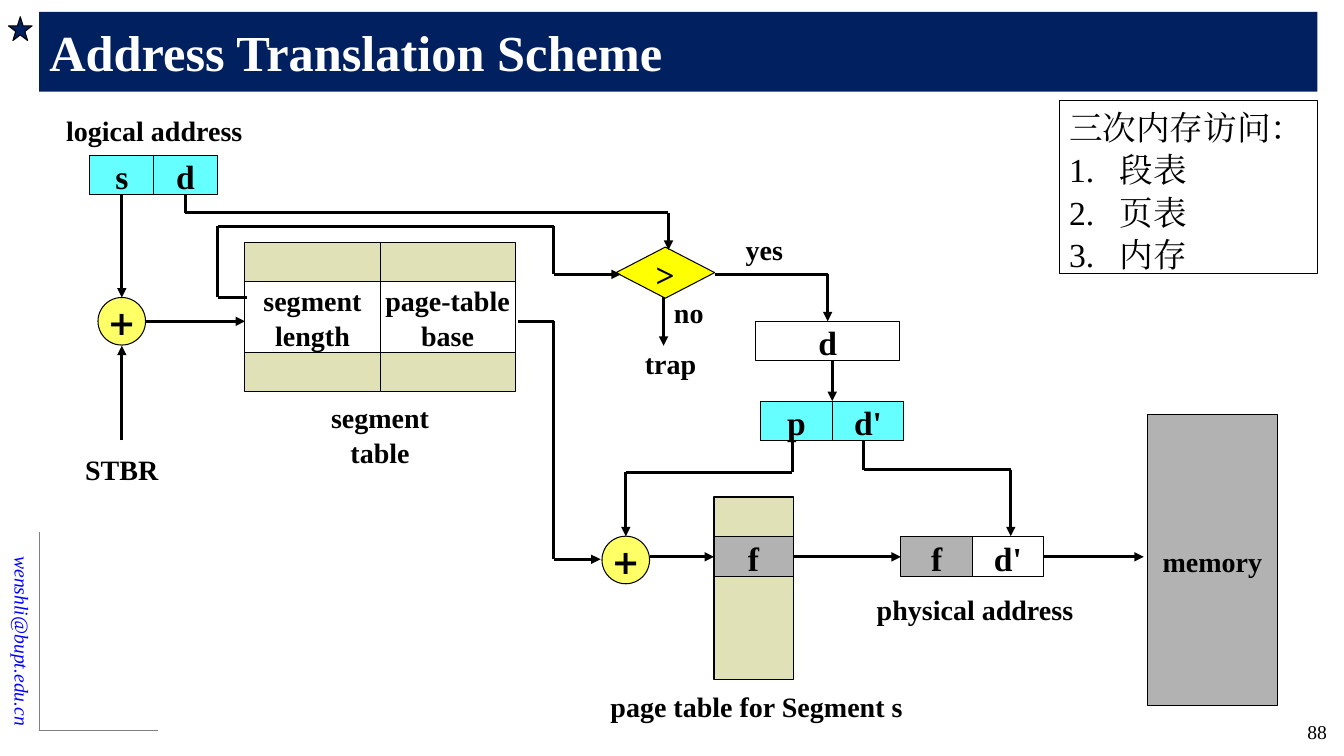
from lxml.etree import SubElement
from pptx import Presentation
from pptx.dml.color import RGBColor
from pptx.enum.shapes import MSO_CONNECTOR, MSO_SHAPE
from pptx.enum.text import MSO_ANCHOR, PP_ALIGN
from pptx.oxml.ns import qn
from pptx.util import Pt

COLORS = {
    "navy": "002060", "cyan": "66FFFF", "yellow": "FFFF00", "lemon": "FFFF66",
    "sand": "E1E1B7", "gray": "B2B2B2", "rule": "808080", "blue": "0000FF",
    "white": "FFFFFF", "black": "000000",
}


class Diagram:
    serif = "Times New Roman"
    sans = "DejaVu Sans"

    def __init__(self, slide):
        self.slide = slide

    def color(self, name):
        return RGBColor.from_string(COLORS[name])

    def set_text(self, shape, text, size, color="black", bold=True, italic=False,
                 align=PP_ALIGN.CENTER, anchor=MSO_ANCHOR.MIDDLE, font=None,
                 wrap=False, spacing=1.05, numbered=False):
        frame = shape.text_frame
        frame.text = text
        frame.word_wrap = wrap
        frame.vertical_anchor = anchor
        for index, paragraph in enumerate(frame.paragraphs):
            paragraph.alignment = align
            paragraph.line_spacing = spacing
            properties = paragraph._p.get_or_add_pPr()
            if numbered and index:
                properties.set("marL", str(Pt(36)))
                properties.set("indent", str(-Pt(36)))
                SubElement(properties, qn("a:buFont"), typeface="+mj-lt")
                SubElement(properties, qn("a:buAutoNum"), type="arabicPeriod")
            paragraph.font.name = font or self.serif
            paragraph.font.size = Pt(size)
            paragraph.font.bold = bold
            paragraph.font.italic = italic
            paragraph.font.color.rgb = self.color(color)
            SubElement(properties.find(qn("a:defRPr")), qn("a:ea"), typeface=self.serif)

    def title(self, text, left, top, width, height):
        heading = self.slide.shapes.title
        heading.left, heading.top = Pt(left), Pt(top)
        heading.width, heading.height = Pt(width), Pt(height)
        heading.fill.solid()
        heading.fill.fore_color.rgb = self.color("navy")
        self.set_text(heading, text, 36, "white", align=PP_ALIGN.LEFT, wrap=True, spacing=1)

    def box(self, left, top, width, height, fill, text="", size=24,
            kind=MSO_SHAPE.RECTANGLE, **style):
        shape = self.slide.shapes.add_shape(kind, Pt(left), Pt(top), Pt(width), Pt(height))
        shape.shadow.inherit = False
        shape.fill.solid()
        shape.fill.fore_color.rgb = self.color(fill)
        shape.line.color.rgb = self.color("black")
        shape.line.width = Pt(0.75)
        if text:
            self.set_text(shape, text, size, **style)
        return shape

    def row(self, left, top, width, height, cells):
        return [self.box(left + index * width, top, width, height, fill, *text)
                for index, (fill, *text) in enumerate(cells)]

    def adder(self, left, top):
        self.box(left, top, 34, 34, "lemon", "+", kind=MSO_SHAPE.OVAL, font=self.sans)

    def label(self, text, left, top, width, height=31, size=20, rotation=0, **style):
        caption = self.slide.shapes.add_textbox(Pt(left), Pt(top), Pt(width), Pt(height))
        caption.rotation = rotation
        self.set_text(caption, text, size, **{"anchor": MSO_ANCHOR.TOP, **style})

    def route(self, *points, begin=None, end=None, color="black", weight=2.25, arrow=True):
        last = len(points) - 2
        for index, (start, stop) in enumerate(zip(points, points[1:])):
            segment = self.slide.shapes.add_connector(
                MSO_CONNECTOR.STRAIGHT, *(Pt(value) for value in start + stop))
            segment.line.color.rgb = self.color(color)
            segment.line.width = Pt(weight)
            properties = segment._element.spPr
            if arrow and index == last:
                SubElement(properties.find(qn("a:ln")), qn("a:tailEnd"), type="triangle")
            SubElement(properties, qn("a:effectLst"))
            if begin and index == 0:
                segment.begin_connect(*begin)
            if end and index == last:
                segment.end_connect(*end)


def main():
    deck = Presentation()
    deck.slide_width, deck.slide_height = Pt(960), Pt(540)
    diagram = Diagram(deck.slides.add_slide(deck.slide_layouts[5]))

    diagram.title("Address Translation Scheme", 28, 8.5, 913, 57)
    diagram.box(6, 12, 17, 17, "navy", kind=MSO_SHAPE.STAR_5_POINT)
    diagram.route((28, 380), (28, 521.5), (113, 521.5), color="rule", weight=0.5, arrow=False)
    diagram.label("wenshli@bupt.edu.cn", -78.5, 418.5, 190, 24.5, 14, 90, color="blue",
                  bold=False, italic=True, align=PP_ALIGN.RIGHT, anchor=MSO_ANCHOR.MIDDLE)

    diagram.label("logical address", 40, 76.5, 140.5)
    selector, offset = diagram.row(64.25, 111, 45.5, 28, [("cyan", "s"), ("cyan", "d")])
    diagram.adder(70, 212.5)
    diagram.label("STBR", 53.5, 318.5, 67)

    sand_row = [("sand",), ("sand",)]
    diagram.row(175, 173, 96.5, 28, sand_row)
    diagram.row(175, 201, 96.5, 51, [("white", "segment\nlength", 20),
                                     ("white", "page-table\nbase", 20)])
    diagram.row(175, 252, 96.5, 28, sand_row)
    diagram.label("segment table", 224.5, 281, 94, 55, wrap=True)

    diagram.box(440, 176.5, 70.5, 36.5, "yellow", ">", kind=MSO_SHAPE.FLOWCHART_DECISION)
    diagram.label("yes", 508.5, 161.5, 75)
    diagram.label("no", 474, 206.5, 36)
    diagram.label("trap", 447.5, 242.5, 63)

    checked_offset = diagram.box(540, 229.5, 102.5, 28, "white", "d")
    diagram.row(543.5, 286.5, 51, 28, [("cyan", "p"), ("cyan", "d'")])

    diagram.adder(430, 383)
    diagram.box(510, 355, 56.5, 28.5, "sand")
    frame_entry = diagram.box(510, 383.5, 56.5, 28.5, "gray", "f")
    diagram.box(510, 412, 56.5, 73.5, "sand")
    diagram.label("page table for Segment s", 427, 487.5, 227, wrap=True)

    frame, page_offset = diagram.row(643.5, 383.5, 51, 28.5, [("gray", "f"), ("white", "d'")])
    diagram.label("physical address", 618.5, 418.5, 156)
    diagram.box(819.5, 296, 93, 208, "gray", "memory", 20)

    diagram.route((87, 139), (87, 212.5), begin=(selector, 2))
    diagram.route((87, 314.5), (87, 247))
    diagram.route((104, 229.5), (175, 229.5))
    diagram.route((132.5, 139), (132.5, 152), (477.5, 152), (477.5, 178.5), begin=(offset, 2))
    diagram.route((176.5, 212.5), (155.5, 212.5), (155.5, 161.5), (395.5, 161.5),
                  (395.5, 196), (443.5, 196))
    diagram.route((511, 196), (591.25, 196), (591.25, 229.5), end=(checked_offset, 0))
    diagram.route((474, 212.5), (474, 247))
    diagram.route((594.5, 257.5), (594.5, 286.5))
    diagram.route((566, 314.5), (566, 337.5), (447, 337.5), (447, 383))
    diagram.route((617, 314.5), (617, 335.5), (722, 335.5), (722, 383))
    diagram.route((370, 229.5), (395.5, 229.5), (395.5, 399.5), (429, 399.5))
    diagram.route((464, 397.75), (510, 397.75), end=(frame_entry, 1))
    diagram.route((566.5, 397.75), (643.5, 397.75), begin=(frame_entry, 3), end=(frame, 1))
    diagram.route((745.5, 397.75), (817, 397.75), begin=(page_offset, 3))

    diagram.box(756.5, 71.5, 184.5, 124, "white", "三次内存访问：\n段表\n页表\n内存",
                bold=False, align=PP_ALIGN.LEFT, anchor=MSO_ANCHOR.TOP, numbered=True)
    diagram.label("88", 875, 510, 80, 26, 14, bold=False, align=PP_ALIGN.RIGHT, wrap=True)
    deck.save("out.pptx")


if __name__ == "__main__":
    main()
